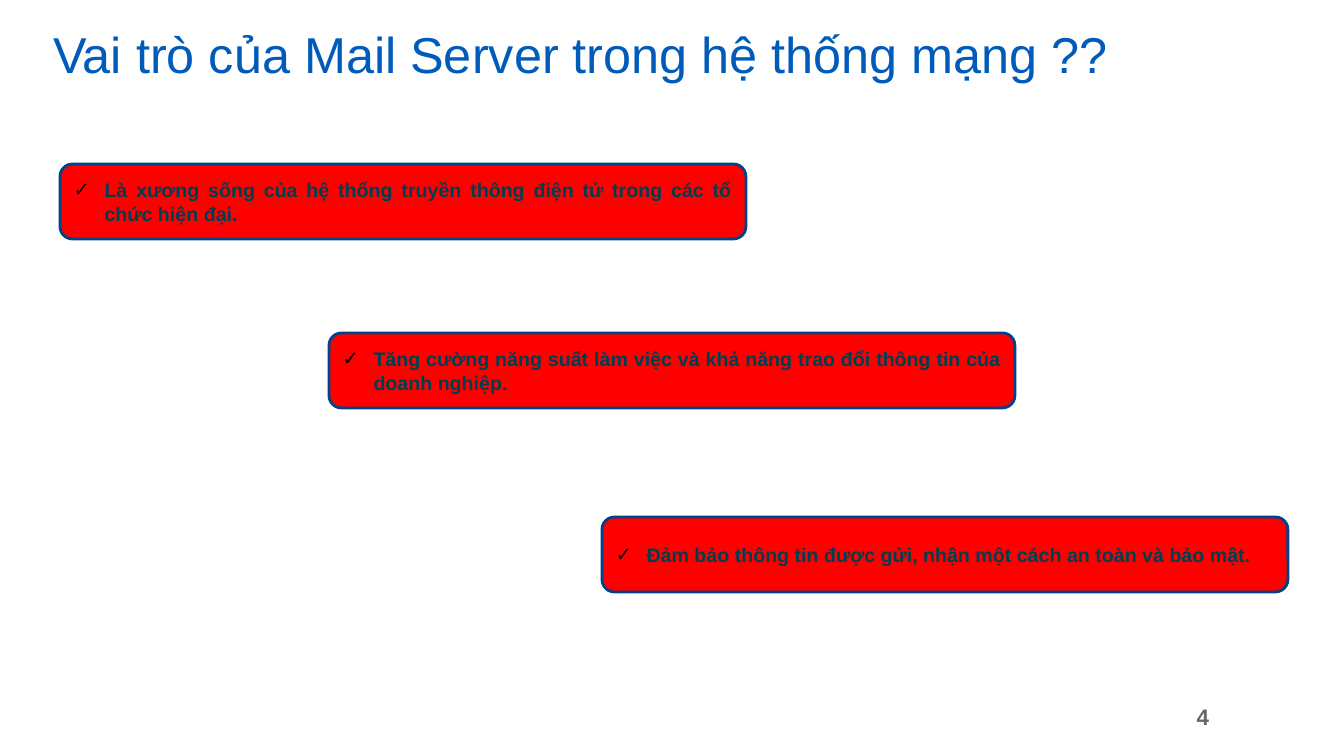
from lxml.etree import SubElement
from pptx import Presentation
from pptx.dml.color import RGBColor
from pptx.enum.shapes import MSO_SHAPE as Shape
from pptx.enum.text import MSO_ANCHOR as Anchor, MSO_AUTO_SIZE as AutoSize, PP_ALIGN as Align
from pptx.oxml.ns import qn
from pptx.util import Emu, Pt

TITLE = "Vai trò của Mail Server trong hệ thống mạng ??"
ROLES = [
    (60, 164, "Là xương sống của hệ thống truyền thông điện tử trong các tổ chức hiện đại."),
    (329, 333, "Tăng cường năng suất làm việc và khả năng trao đổi thông tin của doanh nghiệp."),
    (602, 517, "Đảm bảo thông tin được gửi, nhận một cách an toàn và bảo mật."),
]
PAGE_NUMBER = "4"
ROLE_WIDTH, ROLE_HEIGHT, BULLET_INDENT = 686, 75, 31


def px(length):
    return Emu(round(length * 914400 / 100.8))


def color(value):
    return RGBColor.from_string(value)


def add_check(para):
    props = para._p.get_or_add_pPr()
    props.set("marL", str(px(BULLET_INDENT)))
    props.set("indent", str(-px(BULLET_INDENT)))
    SubElement(SubElement(props, qn("a:buClr")), qn("a:srgbClr"), val="000000")
    SubElement(props, qn("a:buFont"), typeface="Arial")
    SubElement(props, qn("a:buChar"), char="✓")


def write(box, text, size, ink, bold=False, align=Align.JUSTIFY,
          anchor=Anchor.MIDDLE, spacing=None, check=False):
    frame = box.text_frame
    frame.word_wrap = True
    frame.auto_size = AutoSize.NONE
    frame.vertical_anchor = anchor
    para = frame.paragraphs[0]
    para.alignment = align
    para.line_spacing = spacing
    if check:
        add_check(para)
    span = para.add_run()
    span.text = text
    span.font.name = "Arial"
    span.font.size = Pt(size)
    span.font.bold = bold
    span.font.color.rgb = color(ink)


deck = Presentation()
deck.slide_width, deck.slide_height = px(1344), px(756)
page = deck.slides.add_slide(deck.slide_layouts[5])

title = page.shapes.title
title.left, title.top, title.width, title.height = map(px, (43, 25, 1094, 66))
write(title, TITLE, 36, "005BBB", anchor=Anchor.TOP, spacing=0.9)

for left, top, text in ROLES:
    role = page.shapes.add_shape(
        Shape.ROUNDED_RECTANGLE, *map(px, (left, top, ROLE_WIDTH, ROLE_HEIGHT)))
    role.shadow.inherit = False
    role.fill.solid()
    role.fill.fore_color.rgb = color("FF0000")
    role.line.color.rgb = color("00438A")
    role.line.width = Pt(2)
    write(role, text, 14, "003E51", bold=True, check=True)

number = page.shapes.add_textbox(*map(px, (765, 697, 454, 40)))
write(number, PAGE_NUMBER, 16, "666666", bold=True, align=Align.RIGHT)

deck.save("out.pptx")
